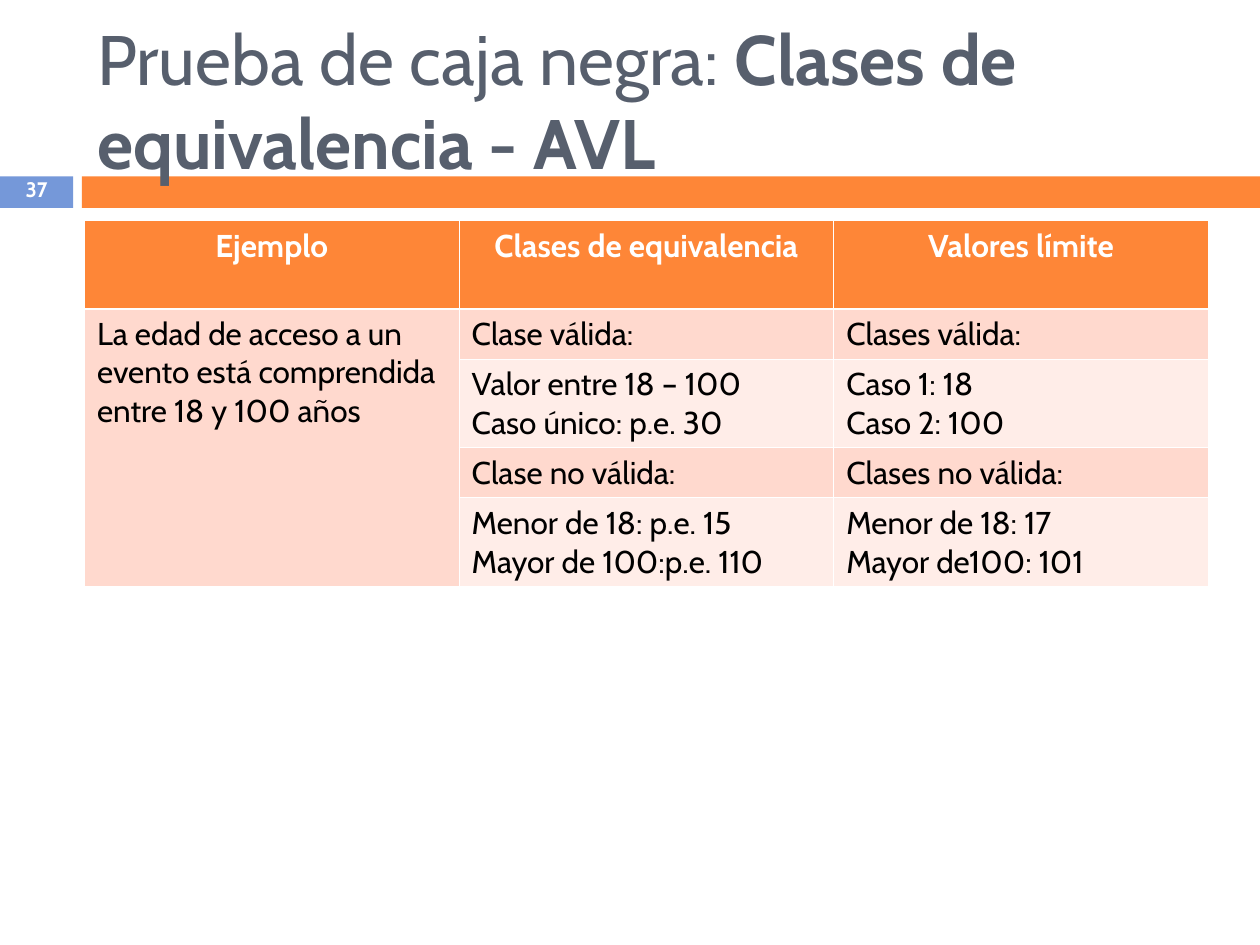
from lxml.etree import SubElement
from pptx import Presentation
from pptx.dml.color import RGBColor
from pptx.enum.shapes import MSO_SHAPE
from pptx.enum.text import MSO_ANCHOR, MSO_AUTO_SIZE, PP_ALIGN
from pptx.oxml.ns import qn
from pptx.util import Inches, Pt

TITLE = [("Prueba de caja negra: ", False), ("Clases de equivalencia - AVL", True)]
NUMBER = "37"
HEADER = ["Ejemplo", "Clases de equivalencia", "Valores límite"]
EXAMPLE = "La edad de acceso a un evento está comprendida entre 18 y 100 años"
CASES = [
    (["Clase válida:"], ["Clases válida:"]),
    (["Valor entre 18 – 100", "Caso único: p.e. 30"], ["Caso 1: 18", "Caso 2: 100"]),
    (["Clase no válida:"], ["Clases no válida:"]),
    (["Menor de 18: p.e. 15", "Mayor de 100:p.e. 110"], ["Menor de 18: 17", "Mayor de100: 101"]),
]
THEME = {
    "font": "Cabin",
    "title": "575F6D", "accent": "FE8637", "badge": "7598D9",
    "bands": ["FFD9CE", "FFEDE8"], "light": "FFFFFF", "text": "000000",
    "title_size": 40, "table_size": 18, "number_size": 12,
    "thin": 0.45, "thick": 1.47,
}
LEFT, WIDTH = 0.67, 8.92
BAR_TOP, BAR_HEIGHT, BADGE_WIDTH, BAR_LEFT = 1.4, 0.25, 0.58, 0.65
ONE_LINE, TWO_LINES = 0.4, 0.7


def add_run(p, text, size, color, bold=False):
    r = p.add_run()
    r.text = text
    r.font.name = THEME["font"]
    r.font.size = Pt(size)
    r.font.bold = bold
    r.font.color.rgb = RGBColor.from_string(color)


def add_bar(s, left, width, color):
    sp = s.shapes.add_shape(MSO_SHAPE.RECTANGLE, Inches(left), Inches(BAR_TOP),
                            Inches(width), Inches(BAR_HEIGHT))
    sp.shadow.inherit = False
    sp.fill.solid()
    sp.fill.fore_color.rgb = RGBColor.from_string(color)
    sp.line.fill.background()


def add_title(s):
    sp = s.shapes.title
    s.shapes._spTree.append(sp._element)
    sp.left, sp.top, sp.width, sp.height = map(Inches, (LEFT, 0.25, WIDTH, 1.08))
    tf = sp.text_frame
    tf.word_wrap = True
    tf.auto_size = MSO_AUTO_SIZE.NONE
    tf.vertical_anchor = MSO_ANCHOR.MIDDLE
    p = tf.paragraphs[0]
    p.alignment = PP_ALIGN.LEFT
    for text, bold in TITLE:
        add_run(p, text, THEME["title_size"], THEME["title"], bold)


def add_number(s):
    sp = s.shapes.add_textbox(0, Inches(1.39), Inches(BADGE_WIDTH), Inches(0.27))
    tf = sp.text_frame
    tf.word_wrap = True
    tf.vertical_anchor = MSO_ANCHOR.MIDDLE
    p = tf.paragraphs[0]
    p.alignment = PP_ALIGN.CENTER
    p.line_spacing = 0.7
    add_run(p, NUMBER, THEME["number_size"], THEME["light"], True)


def set_borders(cell, row):
    tcPr = cell._tc.get_or_add_tcPr()
    thick_side = {0: "lnB", 1: "lnT"}.get(row)
    for i, side in enumerate(("lnL", "lnR", "lnT", "lnB")):
        width = THEME["thick"] if side == thick_side else THEME["thin"]
        ln = SubElement(tcPr, qn(f"a:{side}"), w=str(Pt(width)))
        fill = SubElement(ln, qn("a:solidFill"))
        SubElement(fill, qn("a:srgbClr"), val=THEME["light"])
        tcPr.insert(i, ln)


def fill_cell(cell, row, lines):
    head = row == 0
    cell.fill.solid()
    color = THEME["accent"] if head else THEME["bands"][(row - 1) % 2]
    cell.fill.fore_color.rgb = RGBColor.from_string(color)
    set_borders(cell, row)
    tf = cell.text_frame
    for i, line in enumerate(lines):
        p = tf.add_paragraph() if i else tf.paragraphs[0]
        p.alignment = PP_ALIGN.CENTER if head else PP_ALIGN.LEFT
        add_run(p, line, THEME["table_size"], THEME["light" if head else "text"], head)


def add_cases(s):
    rows = [[[text] for text in HEADER]]
    rows += [[[EXAMPLE] if i == 0 else [], *case] for i, case in enumerate(CASES)]
    heights = [TWO_LINES] + [TWO_LINES if len(case[0]) > 1 else ONE_LINE for case in CASES]
    table = s.shapes.add_table(len(rows), len(HEADER), Inches(LEFT), Inches(1.75),
                               Inches(WIDTH), Inches(sum(heights))).table
    for row, height in zip(table.rows, heights):
        row.height = Inches(height)
    for i, row in enumerate(rows):
        for j, lines in enumerate(row):
            fill_cell(table.cell(i, j), i, lines)
    table.cell(1, 0).merge(table.cell(len(CASES), 0))


def main():
    prs = Presentation()
    prs.slide_width, prs.slide_height = Inches(10), Inches(7.5)
    s = prs.slides.add_slide(prs.slide_layouts[5])
    add_bar(s, 0, BADGE_WIDTH, THEME["badge"])
    add_bar(s, BAR_LEFT, 10 - BAR_LEFT, THEME["accent"])
    add_title(s)
    add_number(s)
    add_cases(s)
    prs.save("out.pptx")


if __name__ == "__main__":
    main()
